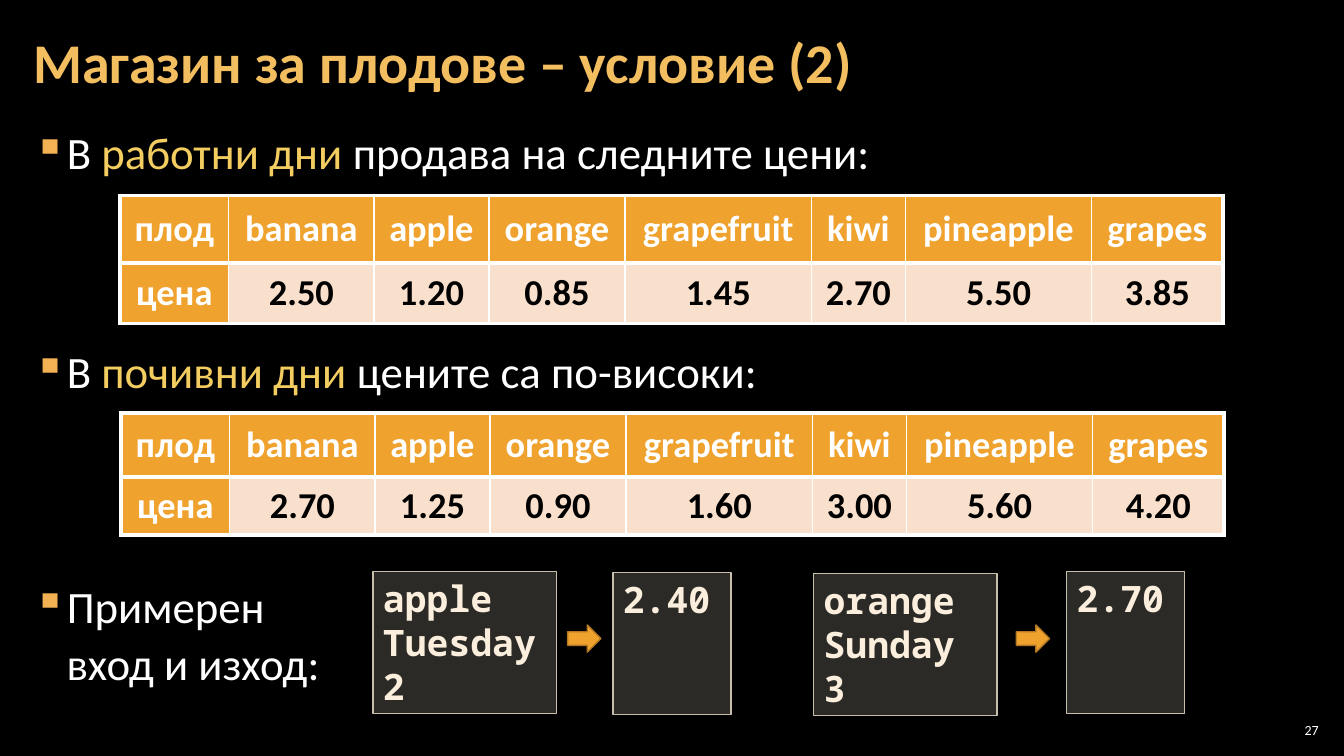
from lxml.etree import SubElement
from pptx import Presentation
from pptx.dml.color import RGBColor
from pptx.enum.shapes import MSO_SHAPE as Preset
from pptx.enum.text import MSO_ANCHOR as Anchor, PP_ALIGN as Align
from pptx.oxml.ns import qn
from pptx.util import Inches, Pt

COLORS = {
    "background": "000000", "title": "F3BE60", "text": "FFFFFF",
    "highlight": "F3CD60", "bullet": "F2B254", "header": "F0A22E",
    "price_fill": "F9E0CD", "price": "000000", "code_fill": "D9D5C7",
    "code_line": "C7BFAC", "code": "FBEEDC", "arrow_line": "B27822",
}
SANS, MONO = "Calibri", "Noto Sans Mono"
FRUITS = ["banana", "apple", "orange", "grapefruit", "kiwi", "pineapple", "grapes"]
WORKDAY_PRICES = ["2.50", "1.20", "0.85", "1.45", "2.70", "5.50", "3.85"]
WEEKEND_PRICES = ["2.70", "1.25", "0.90", "1.60", "3.00", "5.60", "4.20"]
COLUMN_WIDTHS = [1.08, 1.44, 1.14, 1.35, 1.85, 0.93, 1.85, 1.3]


def rgb(name):
    return RGBColor.from_string(COLORS[name])


def add_run(paragraph, text, size, color, bold=False, font=SANS):
    run = paragraph.add_run()
    run.text = text
    run.font.name, run.font.size, run.font.bold = font, Pt(size), bold
    run.font.color.rgb = rgb(color)


def set_frame(frame, anchor, side, edge):
    frame.word_wrap = True
    frame.vertical_anchor = anchor
    frame.margin_left = frame.margin_right = Inches(side)
    frame.margin_top = frame.margin_bottom = Inches(edge)


def add_title(slide, text):
    title = slide.shapes.title
    title.left, title.top = Inches(0.21), Inches(0.04)
    title.width, title.height = Inches(10.47), Inches(1.21)
    set_frame(title.text_frame, Anchor.MIDDLE, 0.12, 0.04)
    paragraph = title.text_frame.paragraphs[0]
    paragraph.alignment = Align.LEFT
    paragraph.line_spacing = 0.9
    add_run(paragraph, text, 40, "title", bold=True)


def add_text_box(slide, left, top, width, height, anchor, side):
    box = slide.shapes.add_textbox(Inches(left), Inches(top), Inches(width), Inches(height))
    set_frame(box.text_frame, anchor, side, 0.04)
    return box.text_frame


def format_bullet(paragraph, space_before):
    paragraph.line_spacing = 1.05
    paragraph.space_before, paragraph.space_after = Pt(space_before), Pt(6)
    properties = paragraph._p.get_or_add_pPr()
    properties.set("marL", str(Inches(0.33)))
    properties.set("indent", str(-Inches(0.33)))
    bullet_color = SubElement(properties, qn("a:buClr"))
    SubElement(bullet_color, qn("a:srgbClr"), val=COLORS["bullet"])
    SubElement(properties, qn("a:buChar"), char="▪")


def add_bullets(slide, bullets):
    frame = add_text_box(slide, 0.21, 1.17, 12.91, 6.09, Anchor.TOP, 0.12)
    for index, (space_before, lines) in enumerate(bullets):
        paragraph = frame.add_paragraph() if index else frame.paragraphs[0]
        format_bullet(paragraph, space_before)
        for number, line in enumerate(lines):
            if number:
                paragraph.add_line_break()
            for text, color in line:
                add_run(paragraph, text, 32, color)


def set_borders(cell, widths):
    properties = cell._tc.get_or_add_tcPr()
    for position, (side, width) in enumerate(widths.items()):
        border = properties.makeelement(qn(f"a:{side}"), {"w": str(Pt(width))})
        fill = SubElement(border, qn("a:solidFill"))
        SubElement(fill, qn("a:srgbClr"), val=COLORS["text"])
        properties.insert(position, border)


def add_price_table(slide, left, top, row_heights, prices):
    rows = [["плод"] + FRUITS, ["цена"] + prices]
    last = len(COLUMN_WIDTHS) - 1
    table = slide.shapes.add_table(
        len(rows), len(COLUMN_WIDTHS), Inches(left), Inches(top),
        Inches(sum(COLUMN_WIDTHS)), Inches(sum(row_heights))).table
    table.horz_banding = False
    for column, width in zip(table.columns, COLUMN_WIDTHS):
        column.width = Inches(width)
    for r, (row, height) in enumerate(zip(rows, row_heights)):
        table.rows[r].height = Inches(height)
        for c, text in enumerate(row):
            is_header = r == 0 or c == 0
            cell = table.cell(r, c)
            cell.fill.solid()
            cell.fill.fore_color.rgb = rgb("header" if is_header else "price_fill")
            cell.vertical_anchor = Anchor.MIDDLE
            cell.margin_left = cell.margin_right = Inches(0.07)
            cell.margin_top = cell.margin_bottom = 0
            paragraph = cell.text_frame.paragraphs[0]
            paragraph.alignment = Align.CENTER
            add_run(paragraph, text, 26, "text" if is_header else "price", bold=True)
            set_borders(cell, {"lnL": 1 if c else 3, "lnR": 3 if c == last else 1,
                               "lnT": 3, "lnB": 3})


def add_preset(slide, preset, left, top, width, height, fill, line):
    shape = slide.shapes.add_shape(
        preset, Inches(left), Inches(top), Inches(width), Inches(height))
    shape.shadow.inherit = False
    shape.fill.solid()
    shape.fill.fore_color.rgb = rgb(fill)
    shape.line.color.rgb = rgb(line)
    shape.line.width = Pt(1)
    return shape


def add_code_box(slide, left, top, width, lines):
    box = add_preset(slide, Preset.RECTANGLE, left, top, width, 1.41,
                     "code_fill", "code_line")
    fill_color = box._element.spPr.find(qn("a:solidFill"))[0]
    SubElement(fill_color, qn("a:alpha"), val="20000")
    frame = box.text_frame
    set_frame(frame, Anchor.TOP, 0.1, 0.05)
    for index, line in enumerate(lines):
        paragraph = frame.add_paragraph() if index else frame.paragraphs[0]
        paragraph.alignment = Align.LEFT
        add_run(paragraph, line, 26, "code", bold=True, font=MONO)


def add_example(slide, given, arrow_left, result):
    add_code_box(slide, *given)
    add_preset(slide, Preset.RIGHT_ARROW, arrow_left, 6.2, 0.33, 0.27,
               "header", "arrow_line")
    add_code_box(slide, *result)


def main():
    deck = Presentation()
    deck.slide_width, deck.slide_height = Inches(13.33), Inches(7.5)
    slide = deck.slides.add_slide(deck.slide_layouts[5])
    slide.background.fill.solid()
    slide.background.fill.fore_color.rgb = rgb("background")

    # Title and bullets, spaced to leave room for the tables
    add_title(slide, "Магазин за плодове – условие (2)")
    add_bullets(slide, [
        (6, [[("В ", "text"), ("работни дни ", "highlight"),
              ("продава на следните цени:", "text")]]),
        (110, [[("В ", "text"), ("почивни дни ", "highlight"),
                ("цените са по-високи:", "text")]]),
        (122, [[("Примерен", "text")], [("вход и изход:", "text")]]),
    ])

    # Price tables
    add_price_table(slide, 1.19, 1.94, [0.67, 0.6], WORKDAY_PRICES)
    add_price_table(slide, 1.2, 4.1, [0.63, 0.58], WEEKEND_PRICES)

    # Sample input and output
    add_example(slide, (3.7, 5.67, 1.82, ["apple", "Tuesday", "2"]),
                5.63, (6.08, 5.68, 1.17, ["2.40"]))
    add_example(slide, (8.07, 5.69, 1.82, ["orange", "Sunday", "3"]),
                10.08, (10.58, 5.67, 1.17, ["2.70"]))

    # Slide number
    number = add_text_box(slide, 12.65, 7.14, 0.47, 0.21, Anchor.MIDDLE, 0.04)
    number.paragraphs[0].alignment = Align.RIGHT
    add_run(number.paragraphs[0], "27", 10, "text")

    deck.save("out.pptx")


if __name__ == "__main__":
    main()
